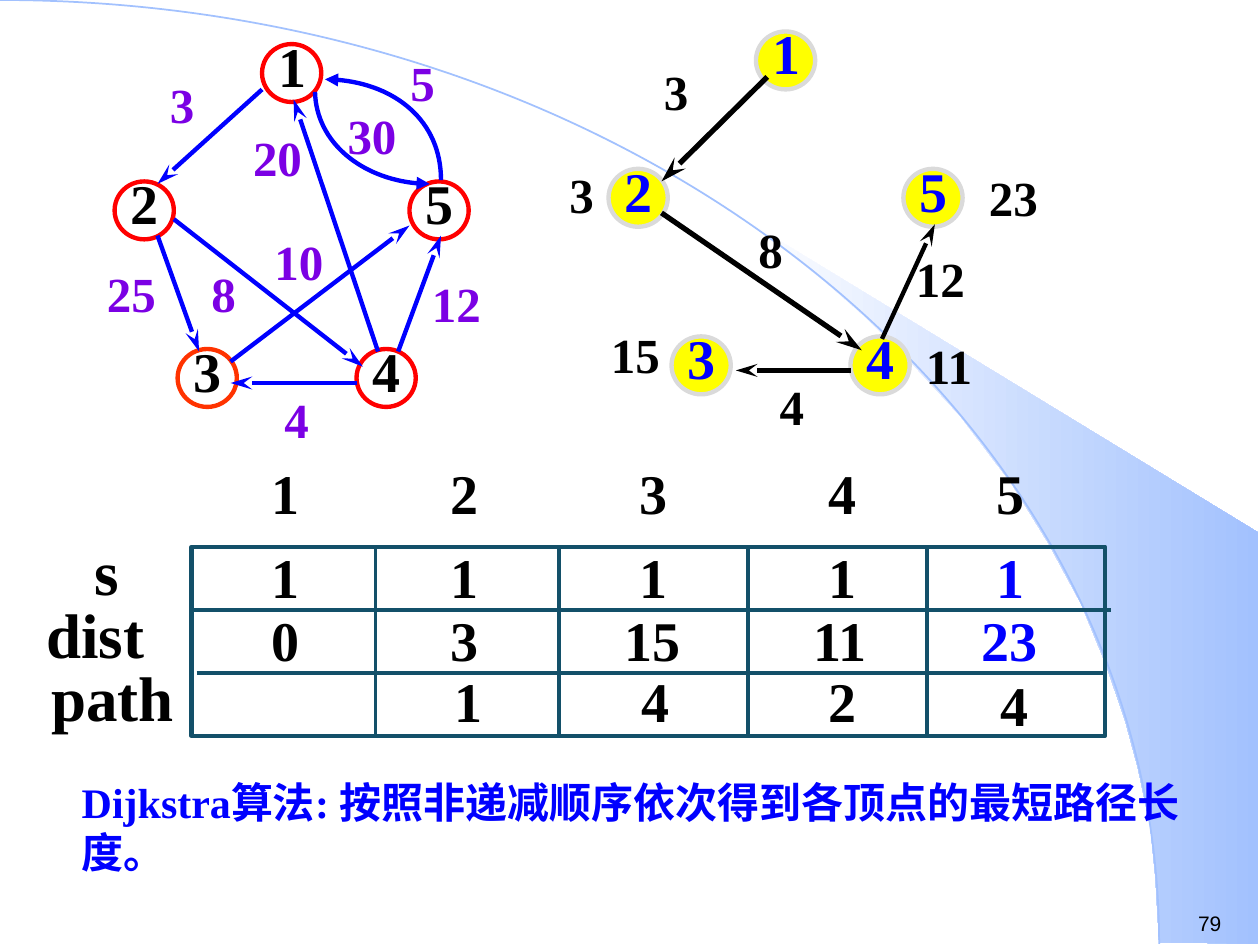
from dataclasses import dataclass

from lxml import etree
from pptx import Presentation
from pptx import util as u
from pptx.dml.color import RGBColor
from pptx.enum import shapes, text
from pptx.oxml import ns

COLORS = {"black": "000000", "blue": "0000FF", "red": "FF0000", "orange": "FF3300",
          "purple": "7B00E4", "yellow": "FFFF00", "gray": "DADADA",
          "teal": "135069", "sky": "A2C1FE", "white": "FFFFFF"}
SERIF = "Times New Roman"
NODE_SIZE = (0.47, 0.46)
VERTICES = {"1": (2.08, 0.35), "2": (0.91, 1.44), "3": (1.41, 2.77),
            "4": (2.83, 2.77), "5": (3.25, 1.44)}
BEAM = [(9.2, 7.48), (9.99, 7.49), (9.99, 4.23), (5.89, 1.73), (6.24, 1.99),
        (6.53, 2.22), (6.85, 2.5), (7.16, 2.8), (7.62, 3.3), (8.03, 3.84),
        (8.32, 4.31), (8.58, 4.79), (8.78, 5.28), (8.93, 5.72), (9.03, 6.09),
        (9.13, 6.56), (9.17, 6.96)]


@dataclass
class Edge:
    start: tuple
    end: tuple
    width: float = 2.5


@dataclass
class Label:
    words: str
    left: float
    top: float


@dataclass
class Graph:
    offset: tuple
    fill: str | None
    outlines: dict
    number_color: str
    edge_color: str
    label_color: str
    edges: list
    labels: list


def inch(value: float) -> u.Length:
    return u.Cm(value * 2.54)


def rgb(name: str) -> RGBColor:
    return RGBColor.from_string(COLORS[name])


def write(slide, words: str, left, top, width, height, *, size=32, color="black",
          font=SERIF, bold=True, align=text.PP_ALIGN.LEFT) -> None:
    box = slide.shapes.add_textbox(*map(inch, (left, top, width, height)))
    box.text_frame.word_wrap = True
    paragraph = box.text_frame.paragraphs[0]
    paragraph.alignment = align
    run = paragraph.add_run()
    run.text = words
    run.font.name, run.font.size, run.font.bold = font, u.Pt(size), bold
    run.font.color.rgb = rgb(color)


def set_line(shape, color: str, width: float) -> None:
    shape.line.color.rgb = rgb(color)
    shape.line.width = u.Pt(width)


def add_arrowhead(shape, end: str, **kind: str) -> None:
    etree.SubElement(shape.line._get_or_add_ln(), ns.qn(f"a:{end}"), **kind)


def straight_line(slide, edge: Edge, color: str):
    connector = slide.shapes.add_connector(
        shapes.MSO_CONNECTOR.STRAIGHT, *map(inch, (*edge.start, *edge.end)))
    set_line(connector, color, edge.width)
    return connector


def remove_shadow(connector) -> None:
    etree.SubElement(connector._element.spPr, ns.qn("a:effectLst"))


def preset_shape(slide, kind, left, top, width, height, fill, line, line_width) -> None:
    shape = slide.shapes.add_shape(kind, *map(inch, (left, top, width, height)))
    shape.shadow.inherit = False
    if fill:
        shape.fill.solid()
        shape.fill.fore_color.rgb = rgb(fill)
    else:
        shape.fill.background()
    set_line(shape, line, line_width)


def freeform(slide, points: list, close: bool):
    corners = [(inch(x), inch(y)) for x, y in points]
    builder = slide.shapes.build_freeform(*corners[0])
    builder.add_line_segments(corners[1:], close=close)
    shape = builder.convert_to_shape()
    shape.shadow.inherit = False
    return shape


def curve(slide, points: list, color: str, width: float):
    """Draw one cubic Bezier: start, two control points, end."""
    shape = freeform(slide, points, close=False)
    segments = list(shape._element.iter(ns.qn("a:lnTo")))
    cubic = etree.Element(ns.qn("a:cubicBezTo"))
    segments[0].addprevious(cubic)
    for segment in segments:
        cubic.append(segment[0])
        segment.getparent().remove(segment)
    shape.fill.background()
    set_line(shape, color, width)
    return shape


def draw_background(slide) -> None:
    beam = freeform(slide, BEAM, close=True)
    beam.fill.gradient()
    beam.fill.gradient_angle = 0
    for stop, color, position in zip(beam.fill.gradient_stops, ("white", "sky"), (0, 1)):
        stop.color.rgb, stop.position = rgb(color), position
    beam.line.fill.background()
    curve(slide, [(0, 0), (5.08, 0), (9.2, 3.35), (9.2, 7.49)], "sky", 1)


def draw_graph(slide, graph: Graph) -> None:
    for number, (x, y) in VERTICES.items():
        left, top = x + graph.offset[0], y + graph.offset[1]
        preset_shape(slide, shapes.MSO_SHAPE.OVAL, left, top, *NODE_SIZE,
                     graph.fill, graph.outlines[number], 2.5)
        write(slide, number, left + 0.03, top - 0.15, 0.34, 0.63,
              color=graph.number_color, align=text.PP_ALIGN.CENTER)
    for label in graph.labels:
        write(slide, label.words, label.left, label.top,
              0.25 + 0.25 * len(label.words), 0.57, size=28, color=graph.label_color)
    for edge in graph.edges:
        connector = straight_line(slide, edge, graph.edge_color)
        add_arrowhead(connector, "tailEnd", type="stealth", len="lg")
        remove_shadow(connector)


def draw_state_grid(slide) -> None:
    preset_shape(slide, shapes.MSO_SHAPE.RECTANGLE, 1.52, 4.34, 7.25, 1.5,
                 None, "teal", 2.5)
    rules = [Edge((x, 4.34), (x, 5.84), 2.25) for x in (2.98, 4.44, 5.94, 7.36)]
    rules += [Edge((1.52, 4.84), (8.82, 4.84), 2.25), Edge((1.56, 5.34), (8.77, 5.34), 2.25)]
    for rule in rules:
        remove_shadow(straight_line(slide, rule, "teal"))

    # Row names
    for name, left, top, width in (("s", 0.65, 4.18, 0.58), ("dist", 0.27, 4.68, 1.25),
                                   ("path", 0.31, 5.18, 1.25)):
        write(slide, name, left, top, width, 0.7, size=36)

    # Column numbers, then the s and dist rows
    lefts = (2.06, 3.48, 4.98, 6.48, 7.81)
    for top, values in ((3.59, "12345"), (4.26, "11111"),
                        (4.76, ("0", "3", "15", "11", "23"))):
        for column, (left, value) in enumerate(zip(lefts, values)):
            wide = len(value) > 1
            write(slide, value, left - 0.12 * wide, top, 0.75 if wide else 0.42, 0.63,
                  color="blue" if column == 4 and top > 4 else "black")

    # Path row
    for value, left, top, width in (("1", 3.07, 5.24, 1.3), ("4", 4.53, 5.24, 1.34),
                                    ("2", 6.02, 5.24, 1.33), ("4", 7.52, 5.27, 1.06)):
        write(slide, value, left, top, width, 0.63, align=text.PP_ALIGN.CENTER)


def main() -> None:
    presentation = Presentation()
    presentation.slide_width, presentation.slide_height = inch(10), inch(7.5)
    slide = presentation.slides.add_slide(presentation.slide_layouts[6])
    draw_background(slide)
    write(slide, "79", 9.41, 7.18, 0.59, 0.3, size=12, font="Arial", bold=False)
    draw_state_grid(slide)
    write(slide, "Dijkstra算法: 按照非递减顺序依次得到各顶点的最短路径长度。",
          0.55, 6.11, 8.98, 0.9, size=24, color="blue")

    # Shortest path tree
    draw_graph(slide, Graph(
        (3.92, -0.1), "yellow", dict.fromkeys(VERTICES, "gray"), "blue", "black", "black",
        [Edge((6.09, 0.61), (5.25, 1.44), 3), Edge((5.25, 1.69), (6.84, 2.78), 3),
         Edge((7, 2.69), (7.42, 1.78)), Edge((6.75, 2.94), (5.84, 2.94))],
        [Label("12", 7.17, 1.92), Label("4", 6.09, 2.94), Label("15", 4.75, 2.53),
         Label("8", 5.92, 1.69), Label("3", 5.17, 0.44), Label("23", 7.75, 1.28),
         Label("11", 7.25, 2.61), Label("3", 4.42, 1.26)]))

    # Weighted directed graph
    draw_graph(slide, Graph(
        (0, 0), None, dict.fromkeys(VERTICES, "red") | {"3": "orange"},
        "black", "blue", "purple",
        [Edge((1.25, 1.87), (1.58, 2.79)), Edge((2.83, 3.04), (1.83, 3.04)),
         Edge((3.16, 2.79), (3.5, 1.87)), Edge((3, 2.79), (2.33, 0.79)),
         Edge((1.38, 1.74), (2.88, 2.91)), Edge((1.83, 2.87), (3.25, 1.79)),
         Edge((2.08, 0.71), (1.25, 1.46))],
        [Label("3", 1.25, 0.54), Label("25", 0.75, 2.04), Label("8", 1.58, 2.04),
         Label("10", 2.08, 1.79), Label("20", 1.91, 0.96), Label("4", 2.16, 3.04),
         Label("5", 3.16, 0.37), Label("30", 2.66, 0.79), Label("12", 3.33, 2.12)]))
    for points in ([(2.58, 0.63), (3.09, 0.63), (3.5, 0.96), (3.5, 1.43)],
                   [(3.41, 1.46), (2.92, 1.46), (2.51, 1.13), (2.5, 0.73)]):
        add_arrowhead(curve(slide, points, "blue", 2.5), "headEnd", type="triangle")

    presentation.save("out.pptx")


if __name__ == "__main__":
    main()
